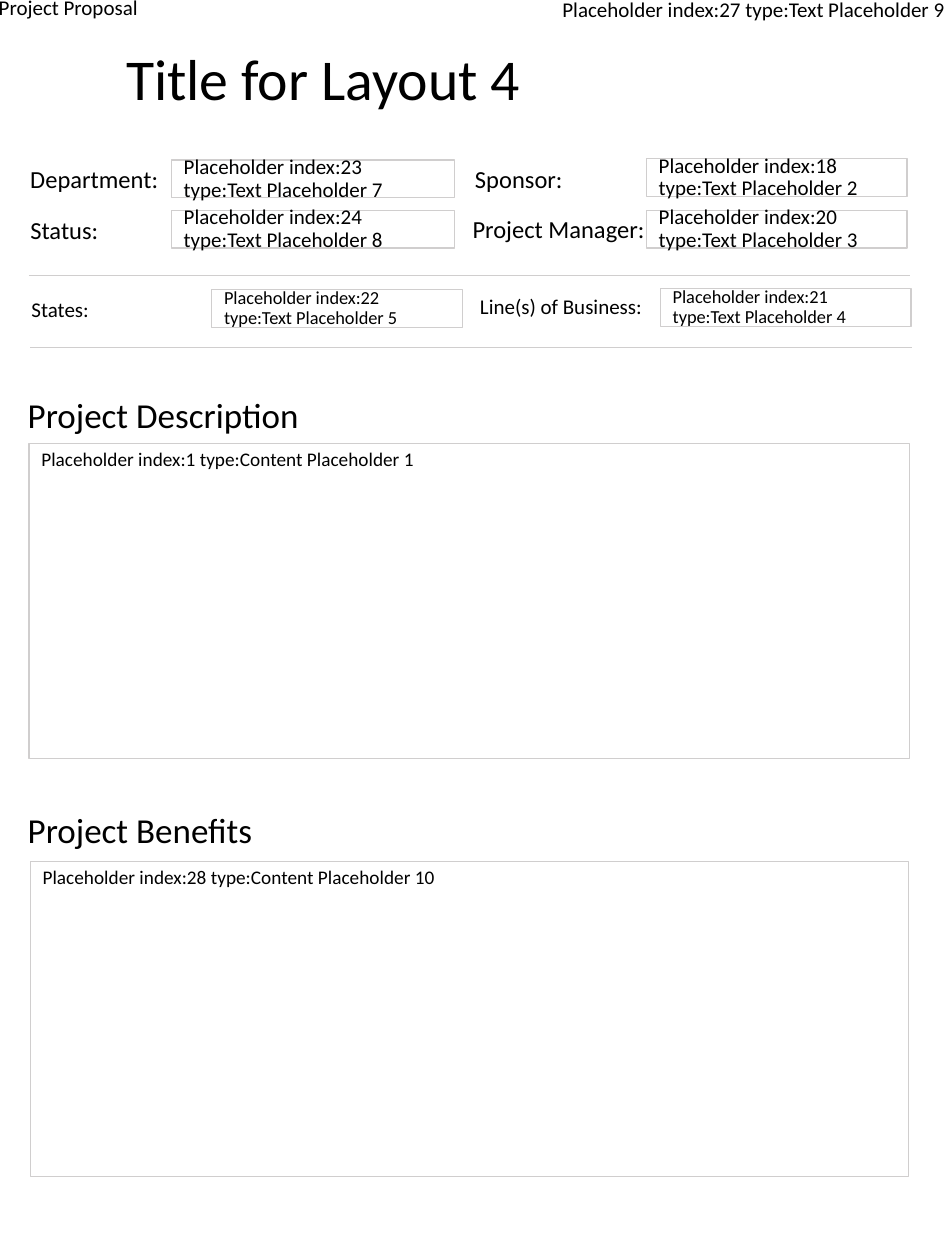
from pptx import Presentation
from pptx.dml.color import RGBColor
from pptx.enum import shapes, text
from pptx.oxml.ns import qn
from pptx.util import Inches, Pt
from lxml import etree

COLORS = {"ink": "000000", "rule": "D0CECE"}
FONT = "Calibri"
FIELD_HEIGHT = 0.3
CONTENT_HEIGHT = 2.5

# wording, left, top, width, height, size
LABELS = [
    ("Sponsor:", 3.77, 1.3, 0.7, 0.24, 14),
    ("Project Manager:", 3.75, 1.7, 1.38, 0.24, 14),
    ("Line(s) of Business:", 3.81, 2.33, 1.3, 0.2, 12),
    ("States:", 0.25, 2.35, 0.46, 0.2, 12),
    ("Department:", 0.24, 1.3, 1.03, 0.24, 14),
    ("Status:", 0.24, 1.71, 0.55, 0.24, 14),
]
HEADINGS = [("Project Description", 3.12), ("Project Benefits", 6.42)]
# left, right, top
RULES = [(0.23, 7.22, 2.19), (0.24, 7.24, 2.76)]
# wording, left, top, width, size
FIELDS = [
    ("Placeholder index:18 type:Text Placeholder 2", 5.13, 1.26, 2.07, 12),
    ("Placeholder index:20 type:Text Placeholder 3", 5.13, 1.67, 2.07, 12),
    ("Placeholder index:21 type:Text Placeholder 4", 5.24, 2.29, 1.99, 10.5),
    ("Placeholder index:22 type:Text Placeholder 5", 1.68, 2.3, 1.99, 10.5),
    ("Placeholder index:23 type:Text Placeholder 7", 1.36, 1.27, 2.25, 12),
    ("Placeholder index:24 type:Text Placeholder 8", 1.36, 1.67, 2.25, 12),
]
# wording, left, top, width
CONTENTS = [
    ("Placeholder index:1 type:Content Placeholder 1", 0.23, 3.52, 6.99),
    ("Placeholder index:28 type:Content Placeholder 10", 0.24, 6.84, 6.97),
]


def write(shape, wording, size, anchor=text.MSO_ANCHOR.TOP,
          align=text.PP_ALIGN.LEFT, spacing=None, before=0, wrap=True):
    """Put one run of text into a shape."""
    frame = shape.text_frame
    frame.word_wrap = wrap
    frame.vertical_anchor = anchor
    paragraph = frame.paragraphs[0]
    paragraph.alignment = align
    paragraph.line_spacing = spacing
    paragraph.space_before = Pt(before)
    run = paragraph.add_run()
    run.text = wording
    run.font.name = FONT
    run.font.size = Pt(size)
    run.font.color.rgb = RGBColor.from_string(COLORS["ink"])


def add_text(slide, wording, left, top, width, height, size, **style):
    """Add a text box without insets."""
    box = slide.shapes.add_textbox(
        Inches(left), Inches(top), Inches(width), Inches(height))
    frame = box.text_frame
    frame.margin_left = frame.margin_right = 0
    frame.margin_top = frame.margin_bottom = 0
    write(box, wording, size, **style)


def add_frame(slide, wording, left, top, width, height, size, anchor):
    """Add an outlined box holding text."""
    shape = slide.shapes.add_shape(
        shapes.MSO_SHAPE.RECTANGLE,
        Inches(left), Inches(top), Inches(width), Inches(height))
    shape.shadow.inherit = False
    shape.fill.background()
    shape.line.color.rgb = RGBColor.from_string(COLORS["rule"])
    shape.line.width = Pt(0.75)
    write(shape, wording, size, anchor=anchor, spacing=0.9, before=7.5)


def add_rule(slide, left, right, top):
    """Add a thin horizontal line."""
    rule = slide.shapes.add_connector(
        shapes.MSO_CONNECTOR.STRAIGHT,
        Inches(left), Inches(top), Inches(right), Inches(top))
    rule.line.color.rgb = RGBColor.from_string(COLORS["rule"])
    rule.line.width = Pt(0.5)
    etree.SubElement(rule._element.spPr, qn("a:effectLst"))


presentation = Presentation()
presentation.slide_width = Inches(7.5)
presentation.slide_height = Inches(10)
slide = presentation.slides.add_slide(presentation.slide_layouts[6])

add_text(slide, "Project Proposal", -0.01, -0.04, 3.4, 0.2, 12)
for label in LABELS:
    add_text(slide, *label, wrap=False)
for rule in RULES:
    add_rule(slide, *rule)
for wording, top in HEADINGS:
    add_text(slide, wording, 0.22, top, 3.4, 0.25, 20)
for wording, left, top, width, size in FIELDS:
    add_frame(slide, wording, left, top, width, FIELD_HEIGHT, size,
              text.MSO_ANCHOR.MIDDLE)
for wording, left, top, width in CONTENTS:
    add_frame(slide, wording, left, top, width, CONTENT_HEIGHT, 11,
              text.MSO_ANCHOR.TOP)
add_text(slide, "Title for Layout 4", 1, 0.4, 6.25, 0.5, 33,
         anchor=text.MSO_ANCHOR.MIDDLE, spacing=0.9)
add_text(slide, "Placeholder index:27 type:Text Placeholder 9",
         4.13, 0, 3.37, 0.17, 12, anchor=text.MSO_ANCHOR.MIDDLE,
         align=text.PP_ALIGN.RIGHT, spacing=0.9, before=7.5)

presentation.save("out.pptx")
